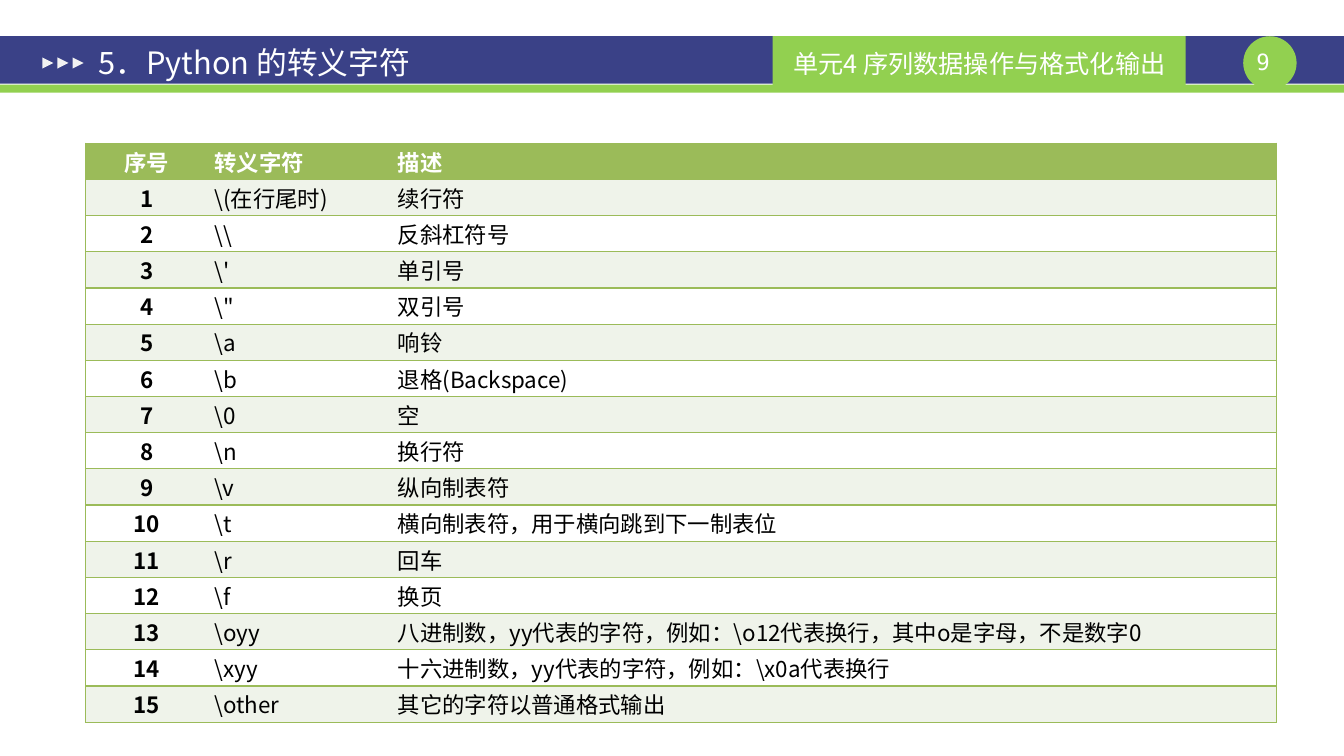
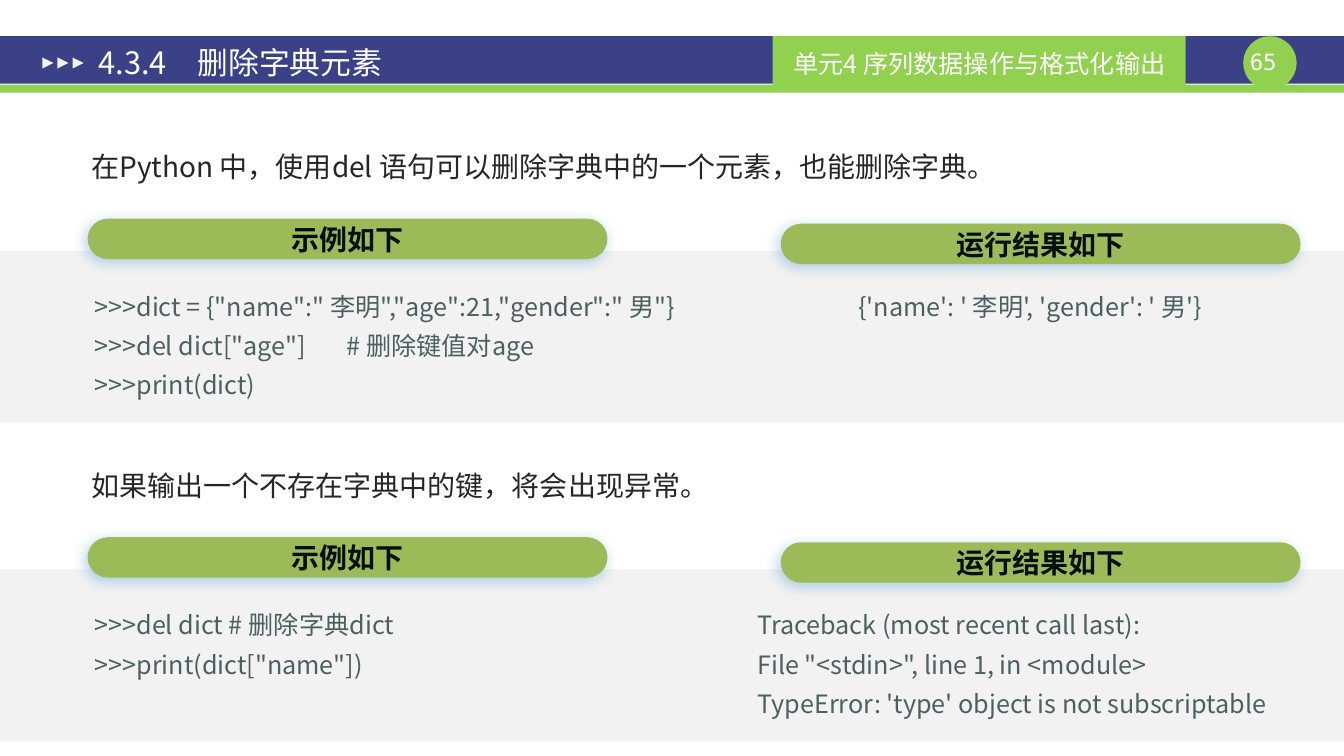
from lxml import etree
from pptx import Presentation
from pptx import util as u
from pptx.dml.color import RGBColor
from pptx.enum import shapes, text
from pptx.oxml import ns

Inches = u.Inches
NAVY = RGBColor(0x3A, 0x41, 0x87)
LIME = RGBColor(0x92, 0xD0, 0x50)
OLIVE = RGBColor(0x9B, 0xBB, 0x59)
PALE_OLIVE = RGBColor(0xEF, 0xF3, 0xEA)
PALE_GREY = RGBColor(0xF2, 0xF2, 0xF2)
WHITE = RGBColor(0xFF, 0xFF, 0xFF)
BLACK = RGBColor(0, 0, 0)
NOTE_INK = RGBColor(0x26, 0x26, 0x26)
CODE_INK = RGBColor(0x4C, 0x60, 0x62)
LABEL_INK = RGBColor(0x06, 0x0E, 0x11)
SHADOW_BLUE = RGBColor(0x00, 0x70, 0xC0)

FONT = "Noto Sans CJK SC"
NUMBER_FONT = "DejaVu Sans Mono"
SLIDE_W, SLIDE_H = 13.34, 7.5
UNIT_TITLE = "单元4 序列数据操作与格式化输出"

ESCAPE_HEADINGS = ("序号", "转义字符", "描述")
ESCAPES = [
    ("\\(在行尾时)", "续行符"),
    ("\\\\", "反斜杠符号"),
    ("\\'", "单引号"),
    ("\\\"", "双引号"),
    ("\\a", "响铃"),
    ("\\b", "退格(Backspace)"),
    ("\\0", "空"),
    ("\\n", "换行符"),
    ("\\v", "纵向制表符"),
    ("\\t", "横向制表符，用于横向跳到下一制表位"),
    ("\\r", "回车"),
    ("\\f", "换页"),
    ("\\oyy", "八进制数，yy代表的字符，例如：\\o12代表换行，其中o是字母，不是数字0"),
    ("\\xyy", "十六进制数，yy代表的字符，例如：\\x0a代表换行"),
    ("\\other", "其它的字符以普通格式输出"),
]

DELETE_EXAMPLES = [
    {
        "note": "在Python 中，使用del 语句可以删除字典中的一个元素，也能删除字典。",
        "code": [
            '>>>dict = {"name":" 李明","age":21,"gender":" 男"}',
            '>>>del dict["age"] \t# 删除键值对age',
            ">>>print(dict)",
        ],
        "result": ["{'name': ' 李明', 'gender': ' 男'}"],
        "result_left": 7.92,
    },
    {
        "note": "如果输出一个不存在字典中的键，将会出现异常。",
        "code": [">>>del dict # 删除字典dict", '>>>print(dict["name"])'],
        "result": [
            "Traceback (most recent call last):",
            'File "<stdin>", line 1, in <module>',
            "TypeError: 'type' object is not subscriptable",
        ],
        "result_left": 6.92,
    },
]


def box(left, top, width, height):
    """Turn a box in inches into lengths."""
    return [Inches(side) for side in (left, top, width, height)]


def style_paragraph(paragraph, size, color, bold=False, align=None, font=FONT):
    """Format every run of a paragraph, East Asian font included."""
    paragraph.alignment = align
    for run in paragraph.runs:
        run.font.size = u.Pt(size)
        run.font.bold = bold
        run.font.color.rgb = color
        run.font.name = font
        east_asian = etree.SubElement(run.font._element, ns.qn("a:ea"))
        east_asian.set("typeface", font)


def set_margins(holder, side, end):
    """Set equal side margins and equal top and bottom margins."""
    holder.margin_left = holder.margin_right = Inches(side)
    holder.margin_top = holder.margin_bottom = Inches(end)


def add_block(slide, kind, area, fill):
    """Add a flat filled shape without outline or shadow."""
    block = slide.shapes.add_shape(kind, *box(*area))
    block.shadow.inherit = False
    block.fill.solid()
    block.fill.fore_color.rgb = fill
    block.line.fill.background()
    return block


def label_block(block, label, size, color, bold=False):
    """Write centred text in a shape."""
    frame = block.text_frame
    frame.text = label
    frame.vertical_anchor = text.MSO_ANCHOR.MIDDLE
    style_paragraph(frame.paragraphs[0], size, color, bold, text.PP_ALIGN.CENTER)


def add_lines(slide, area, lines, size, color, spacing):
    """Add a text box whose paragraphs share a first-line indent."""
    frame = slide.shapes.add_textbox(*box(*area)).text_frame
    frame.word_wrap = True
    frame.auto_size = text.MSO_AUTO_SIZE.SHAPE_TO_FIT_TEXT
    frame.text = "\n".join(lines)
    for paragraph in frame.paragraphs:
        properties = paragraph._p.get_or_add_pPr()
        properties.set("marL", "0")
        properties.set("indent", str(Inches(0.5)))
        paragraph.line_spacing = spacing
        style_paragraph(paragraph, size, color)


def build_header(slide, layout):
    """Draw the header band and hand it to the layout."""
    kinds = shapes.MSO_SHAPE
    add_block(slide, kinds.RECTANGLE, (0, 0.36, SLIDE_W, 0.47), NAVY)
    add_block(slide, kinds.RECTANGLE, (0, 0.84, SLIDE_W, 0.08), LIME)
    add_block(slide, kinds.OVAL, (12.34, 0.36, 0.53, 0.53), LIME)
    unit = add_block(slide, kinds.RECTANGLE, (7.67, 0.36, 4.1, 0.54), LIME)
    label_block(unit, UNIT_TITLE, 18, WHITE)
    for index in range(3):
        area = (0.42 + 0.15 * index, 0.57, 0.11, 0.11)
        add_block(slide, kinds.ISOSCELES_TRIANGLE, area, PALE_GREY).rotation = 90
    decorations = [item for item in slide.shapes if not item.is_placeholder]
    for number, decoration in enumerate(decorations, 20):
        decoration.element.nvSpPr.cNvPr.set("id", str(number))
        layout.shapes.element.append(decoration.element)


def fill_header(slide, heading, width, page):
    """Write the slide title and the page number."""
    title = slide.shapes.title
    title.left, title.top, title.width, title.height = box(0.85, 0.4, width, 0.44)
    frame = title.text_frame
    frame.text = heading
    frame.auto_size = text.MSO_AUTO_SIZE.NONE
    frame.vertical_anchor = text.MSO_ANCHOR.MIDDLE
    set_margins(frame, 0.13, 0.07)
    style_paragraph(frame.paragraphs[0], 22, WHITE, align=text.PP_ALIGN.LEFT)

    number = slide.shapes.add_textbox(*box(12.34, 0.48, 0.53, 0.27)).text_frame
    number.word_wrap = True
    number.auto_size = text.MSO_AUTO_SIZE.SHAPE_TO_FIT_TEXT
    set_margins(number, 0, 0)
    number.text = f"{page} "
    style_paragraph(number.paragraphs[0], 16, WHITE,
                    align=text.PP_ALIGN.CENTER, font=NUMBER_FONT)


def set_borders(cell, edges):
    """Draw the named cell edges in olive and clear the others."""
    properties = cell._tc.get_or_add_tcPr()
    for edge in "LRTB":
        line = etree.SubElement(properties, ns.qn(f"a:ln{edge}"), w=str(u.Pt(1)))
        if edge in edges:
            fill = etree.SubElement(line, ns.qn("a:solidFill"))
            etree.SubElement(fill, ns.qn("a:srgbClr"), val=str(OLIVE))
        else:
            etree.SubElement(line, ns.qn("a:noFill"))


def add_escape_table(slide, left, top, width, height):
    """Add the table of escape characters."""
    rows = [ESCAPE_HEADINGS]
    rows += [(str(n), *entry) for n, entry in enumerate(ESCAPES, 1)]
    table = slide.shapes.add_table(
        len(rows), len(ESCAPE_HEADINGS), *box(left, top, width, height)).table
    for column, share in zip(table.columns, (1.21, 1.82, width - 3.03)):
        column.width = Inches(share)
    for r, row in enumerate(rows):
        table.rows[r].height = Inches(height / len(rows))
        fill = OLIVE if r == 0 else PALE_OLIVE if r % 2 else WHITE
        for c, entry in enumerate(row):
            cell = table.cell(r, c)
            set_borders(cell, ("LTB", "TB", "RTB")[c])
            cell.fill.solid()
            cell.fill.fore_color.rgb = fill
            cell.vertical_anchor = text.MSO_ANCHOR.MIDDLE
            set_margins(cell, 0.07, 0)
            cell.text_frame.text = entry
            style_paragraph(
                cell.text_frame.paragraphs[0], 16,
                BLACK if r else WHITE, r == 0 or c == 0,
                text.PP_ALIGN.JUSTIFY if c else text.PP_ALIGN.CENTER)


def add_pill(slide, left, top, label):
    """Add a rounded heading with a soft blue shadow."""
    pill = add_block(slide, shapes.MSO_SHAPE.ROUNDED_RECTANGLE,
                     (left, top, 5.16, 0.4), OLIVE)
    pill.adjustments[0] = 0.5
    effects = pill.element.spPr.find(ns.qn("a:effectLst"))
    shadow = etree.SubElement(
        effects, ns.qn("a:outerShdw"), blurRad=str(u.Pt(10)), dist=str(u.Pt(3)),
        dir=str(135 * 60000), algn="tr", rotWithShape="0")
    tint = etree.SubElement(shadow, ns.qn("a:srgbClr"), val=str(SHADOW_BLUE))
    etree.SubElement(tint, ns.qn("a:alpha"), val="30000")
    label_block(pill, label, 20, LABEL_INK, True)


def add_example(slide, top, note, code, result, result_left):
    """Add a note above a grey band with code and its result."""
    add_block(slide, shapes.MSO_SHAPE.RECTANGLE,
              (0, top + 1.16, SLIDE_W, 1.7), PALE_GREY)
    add_lines(slide, (0.31, top, 12.11, 0.5), [note], 20, NOTE_INK, 1.32)
    columns = ((0.34, 7.42, code), (result_left, 13.09 - result_left, result))
    for left, width, lines in columns:
        area = (left, top + 1.42, width, 0.05 + 0.41 * len(lines))
        add_lines(slide, area, lines, 18, CODE_INK, 1.3)
    add_pill(slide, 0.87, top + 0.84, "示例如下")
    add_pill(slide, 7.75, top + 0.89, "运行结果如下")


def main():
    """Build and save the two slides."""
    prs = Presentation()
    prs.slide_width, prs.slide_height = Inches(SLIDE_W), Inches(SLIDE_H)
    layout = prs.slide_layouts[5]

    escapes = prs.slides.add_slide(layout)
    build_header(escapes, layout)
    fill_header(escapes, "5．Python 的转义字符", 7.2, 9)
    add_escape_table(escapes, 0.85, 1.42, 11.82, 5.75)

    deletion = prs.slides.add_slide(layout)
    fill_header(deletion, "4.3.4\u3000删除字典元素".replace("\u3000", "　"), 8.07, 65)
    for index, example in enumerate(DELETE_EXAMPLES):
        add_example(deletion, 1.33 + 3.16 * index, **example)

    prs.save("out.pptx")


if __name__ == "__main__":
    main()
